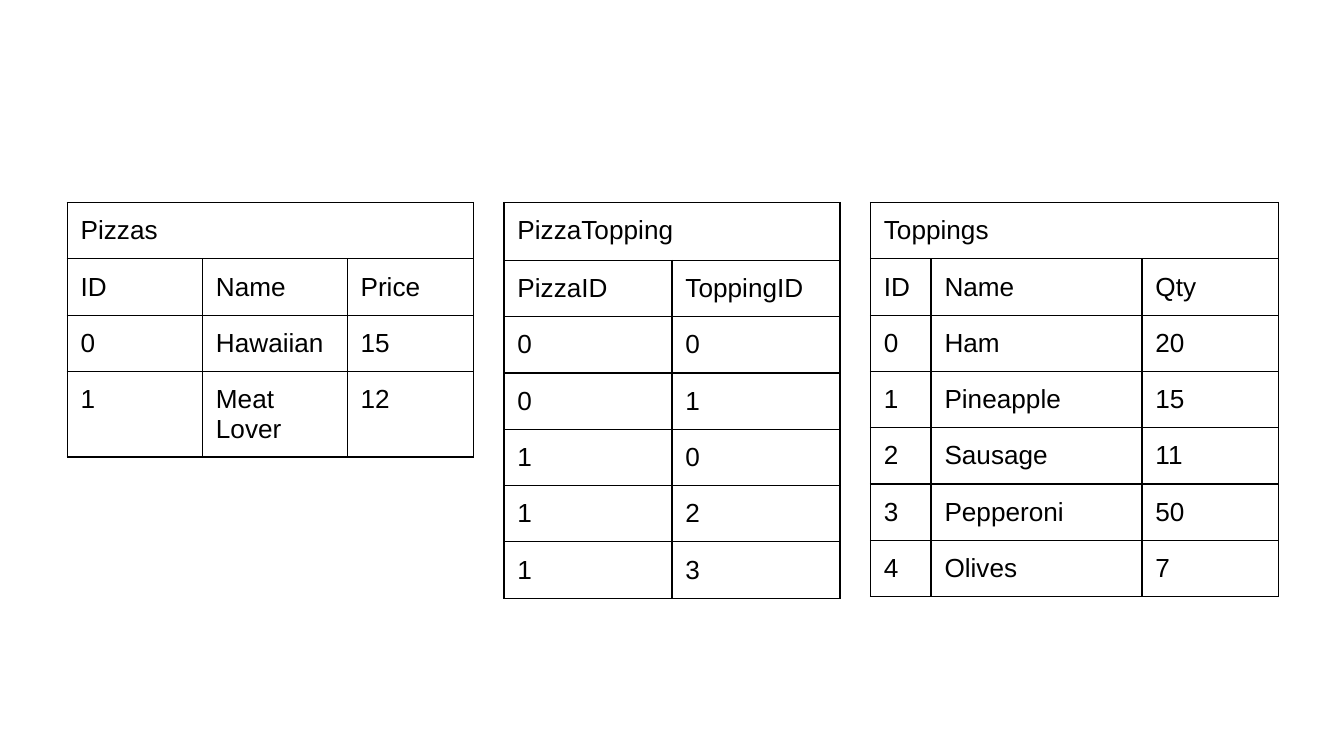
import dataclasses

import lxml.etree
import pptx
import pptx.dml.color
import pptx.oxml.ns
import pptx.util

Pt = pptx.util.Pt


@dataclasses.dataclass(frozen=True)
class Theme:
    ink: str = "000000"
    font: str = "Arial"
    text_size: float = 14
    border_width: float = 0.75
    cell_margin: float = 7.2
    row_height: float = 30.1
    table_top: float = 108.5


THEME = Theme()

# Each table: left edge, column widths, title row height, title, rows
TABLES = [
    (36, [72.5, 77.5, 67.5], 30.1, "Pizzas",
     [("ID", "Name", "Price"),
      ("0", "Hawaiian", "15"),
      ("1", "Meat Lover", "12")]),
    (270, [90, 90], 31, "PizzaTopping",
     [("PizzaID", "ToppingID"),
      ("0", "0"),
      ("0", "1"),
      ("1", "0"),
      ("1", "2"),
      ("1", "3")]),
    (466.3, [32.5, 113, 73], 30.1, "Toppings",
     [("ID", "Name", "Qty"),
      ("0", "Ham", "20"),
      ("1", "Pineapple", "15"),
      ("2", "Sausage", "11"),
      ("3", "Pepperoni", "50"),
      ("4", "Olives", "7")]),
]


def write_text(text_frame, text, *, size=THEME.text_size, color=THEME.ink,
               font=THEME.font):
    run = text_frame.paragraphs[0].add_run()
    run.text = text
    run.font.size = Pt(size)
    run.font.name = font
    run.font.color.rgb = pptx.dml.color.RGBColor.from_string(color)


def add_borders(cell):
    # Border lines have to come before the fill in the cell properties
    qualified = pptx.oxml.ns.qn
    properties = cell._tc.get_or_add_tcPr()
    for position, side in enumerate(("a:lnL", "a:lnR", "a:lnT", "a:lnB")):
        line = lxml.etree.Element(qualified(side), w=str(Pt(THEME.border_width)))
        fill = lxml.etree.SubElement(line, qualified("a:solidFill"))
        lxml.etree.SubElement(fill, qualified("a:srgbClr"), val=THEME.ink)
        properties.insert(position, line)


def format_cell(cell):
    cell.fill.background()
    cell.margin_left = cell.margin_right = Pt(THEME.cell_margin)
    cell.margin_top = cell.margin_bottom = Pt(THEME.cell_margin)
    add_borders(cell)


def add_data_table(slide, left, widths, title_height, title, rows):
    heights = [title_height] + [THEME.row_height] * len(rows)
    shape = slide.shapes.add_table(
        len(heights), len(widths), Pt(left), Pt(THEME.table_top),
        Pt(sum(widths)), Pt(sum(heights)))
    table = shape.table
    table.first_row = False
    table.horz_banding = False
    for column, width in zip(table.columns, widths):
        column.width = Pt(width)
    for row, height in zip(table.rows, heights):
        row.height = Pt(height)
    for cell in table.iter_cells():
        format_cell(cell)

    # Title across all columns, then the data
    table.cell(0, 0).merge(table.cell(0, len(widths) - 1))
    write_text(table.cell(0, 0).text_frame, title)
    for row_index, values in enumerate(rows, start=1):
        for column_index, value in enumerate(values):
            write_text(table.cell(row_index, column_index).text_frame, value)


def main():
    presentation = pptx.Presentation()
    presentation.slide_width = Pt(720)
    presentation.slide_height = Pt(405)
    slide = presentation.slides.add_slide(presentation.slide_layouts[6])
    for table in TABLES:
        add_data_table(slide, *table)
    presentation.save("out.pptx")


if __name__ == "__main__":
    main()
